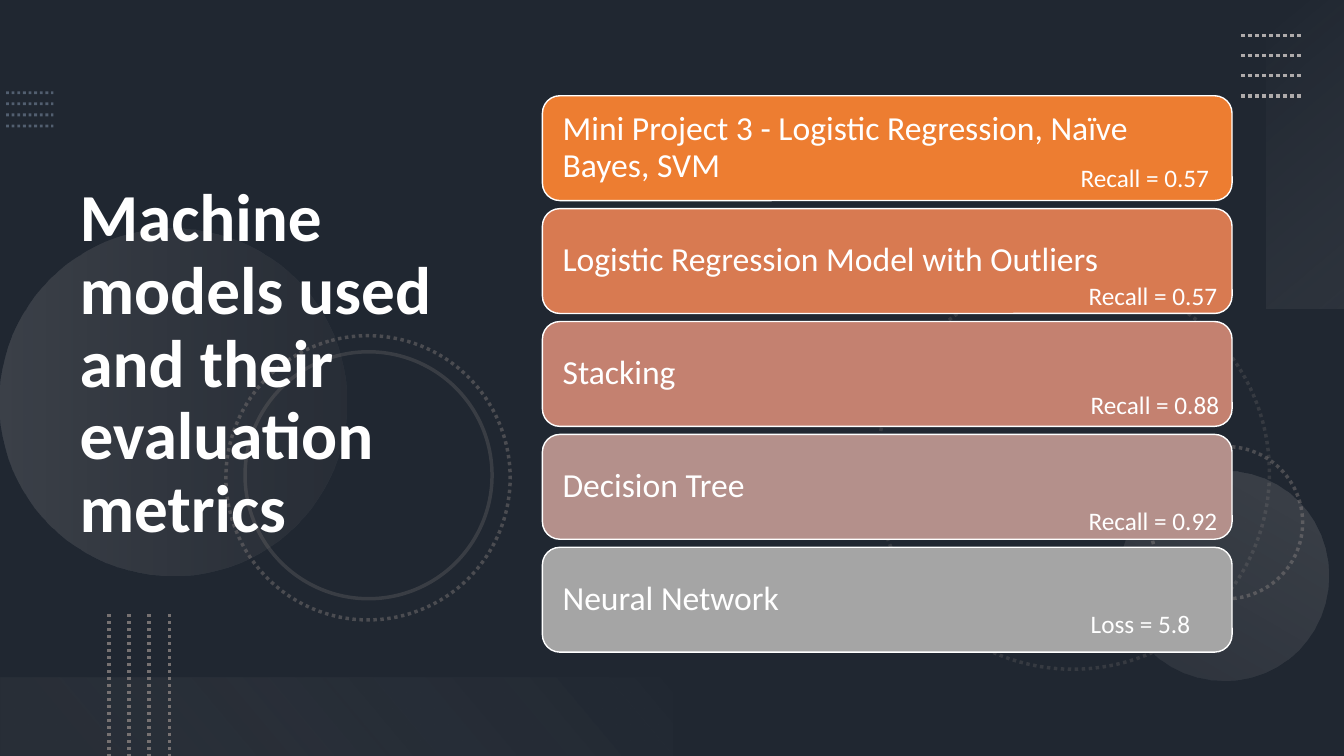
import pptx
import pptx.dml.color
import pptx.enum.dml
import pptx.enum.shapes
import pptx.enum.text
import pptx.oxml.ns
import pptx.util
from lxml import etree

RGBColor = pptx.dml.color.RGBColor
SHAPE = pptx.enum.shapes.MSO_SHAPE
ANCHOR = pptx.enum.text.MSO_ANCHOR
DOTTED = pptx.enum.dml.MSO_LINE.ROUND_DOT
qn = pptx.oxml.ns.qn

BLACK = RGBColor(0x00, 0x00, 0x00)
WHITE = RGBColor(0xFF, 0xFF, 0xFF)
SLATE = RGBColor(0x44, 0x54, 0x6A)
BLUE_GRAY = RGBColor(0x84, 0x97, 0xB0)
DARK_GRAY = RGBColor(0x76, 0x71, 0x71)
LIGHT_GRAY = RGBColor(0xAF, 0xAB, 0xAB)
PALE_GRAY = RGBColor(0xF5, 0xF5, 0xF5)
MIST = RGBColor(0xF1, 0xF0, 0xF0)
ORANGE = RGBColor(0xED, 0x7D, 0x31)
COPPER = RGBColor(0xD8, 0x7A, 0x51)
ROSE = RGBColor(0xC4, 0x81, 0x70)
MAUVE = RGBColor(0xB4, 0x90, 0x8B)
GRAY = RGBColor(0xA5, 0xA5, 0xA5)

WIDTH, HEIGHT = 1333, 750
PX = 9144


def px(*lengths):
    return [pptx.util.Emu(length * PX) for length in lengths]


def set_opacity(element, *percents):
    """Give each RGB colour below the element its opacity, in document order."""
    for color, percent in zip(list(element.iter(qn("a:srgbClr"))), percents):
        etree.SubElement(color, qn("a:alpha")).set("val", str(percent * 1000))


class SlideBuilder:
    """Holds the text style and the slide being built."""

    font = {"name": "Calibri", "bold": False}

    def __init__(self, slide):
        self.slide = slide

    def stroke(self, shape, color, width, dash=None, opacity=100):
        shape.line.color.rgb = color
        for name, value in {"width": pptx.util.Pt(width), "dash_style": dash}.items():
            setattr(shape.line, name, value)
        if opacity < 100:
            set_opacity(shape.element.spPr.find(qn("a:ln")), opacity)

    def shape(self, kind, box, rotation=0, fill=None, opacity=100):
        shape = self.slide.shapes.add_shape(kind, *px(*box))
        shape.shadow.inherit = False
        shape.rotation = rotation
        shape.line.fill.background()
        if fill is None:
            shape.fill.background()
        else:
            shape.fill.solid()
            shape.fill.fore_color.rgb = fill
            if opacity < 100:
                set_opacity(shape.element.spPr, opacity)
        return shape

    def gradient(self, kind, box, rotation, angle, stops):
        """Draw a faded shape; stops are (position, colour, opacity), angle runs clockwise."""
        shape = self.shape(kind, box, rotation)
        shape.fill.gradient()
        shape.fill.gradient_angle = 360 - angle
        for stop, (position, color, _) in zip(shape.fill.gradient_stops, stops):
            stop.position = position
            stop.color.rgb = color
        set_opacity(shape.element.spPr, *[opacity for _, _, opacity in stops])

    def ring(self, box, rotation, dash, opacity):
        ring = self.shape(SHAPE.OVAL, box, rotation)
        self.stroke(ring, DARK_GRAY, 2.5, dash, opacity)

    def dotted_lines(self, first, step, count, color, width, opacity=100):
        """Repeat the line first = (x1, y1, x2, y2), moving it by step = (dx, dy)."""
        x1, y1, x2, y2 = first
        for index in range(count):
            dx, dy = index * step[0], index * step[1]
            line = self.slide.shapes.add_connector(
                pptx.enum.shapes.MSO_CONNECTOR.STRAIGHT,
                *px(x1 + dx, y1 + dy, x2 + dx, y2 + dy))
            self.stroke(line, color, width, DOTTED, opacity)
            etree.SubElement(line.element.spPr, qn("a:effectLst"))

    def fill_text(self, shape, text, size, frame=None, paragraph_format=None, **font):
        text_frame = shape.text_frame
        paragraph = text_frame.paragraphs[0]
        run = paragraph.add_run()
        run.text = text
        run.font.color.rgb = WHITE
        formats = (
            (text_frame, {"word_wrap": True, **(frame or {})}),
            (paragraph, {"alignment": pptx.enum.text.PP_ALIGN.LEFT,
                         **(paragraph_format or {})}),
            (run.font, {**self.font, "size": pptx.util.Pt(size), **font}),
        )
        for target, values in formats:
            for name, value in values.items():
                setattr(target, name, value)

    def text(self, box, text, size, **style):
        self.fill_text(self.slide.shapes.add_textbox(*px(*box)), text, size, **style)

    def bar(self, box, text, fill):
        bar = self.shape(SHAPE.ROUNDED_RECTANGLE, box, fill=fill)
        self.stroke(bar, WHITE, 1)
        margin = px(15)[0]
        self.fill_text(bar, text, 24,
                       frame={"vertical_anchor": ANCHOR.MIDDLE,
                              "margin_left": margin, "margin_right": margin},
                       paragraph_format={"line_spacing": 0.9})


def draw_decoration(builder):
    builder.shape(SHAPE.RECTANGLE, (0, 0, WIDTH, HEIGHT), fill=BLACK, opacity=53)
    builder.dotted_lines((6, 92, 53, 92), (0, 11), 4, BLUE_GRAY, 2, 50)
    builder.ring((869, 274, 390, 390), 75, DOTTED, 25)
    builder.ring((1141, 443, 151, 151), 270, DOTTED, 50)
    builder.gradient(SHAPE.OVAL, (0, 227, 344, 344), 270, 90,
                     [(0, LIGHT_GRAY, 20), (1, DARK_GRAY, 10)])
    builder.gradient(SHAPE.OVAL, (1110, 467, 208, 208), 210, 90,
                     [(0, LIGHT_GRAY, 10), (1, LIGHT_GRAY, 20)])
    builder.ring((224, 333, 282, 282), 75, DOTTED, 50)
    builder.ring((243, 349, 245, 245), 75, None, 30)
    builder.gradient(SHAPE.RECTANGLE, (1142, 114, 306, 78), 270, 140,
                     [(0, PALE_GRAY, 0), (1, LIGHT_GRAY, 10)])
    builder.dotted_lines((1231, 35, 1291, 35), (0, 20), 4, LIGHT_GRAY, 2.5)
    builder.gradient(SHAPE.RECTANGLE, (0, 672, 667, 78), 180, 140,
                     [(0.1, DARK_GRAY, 10), (1, MIST, 0)])
    builder.dotted_lines((108, 609, 108, 750), (20, 0), 4, DARK_GRAY, 2.5)


def draw_models(builder):
    models = [
        ("Mini Project 3 - Logistic Regression, Naïve Bayes, SVM", ORANGE,
         "Recall = 0.57", (1062, 156)),
        ("Logistic Regression Model with Outliers", COPPER, "Recall = 0.57", (1070, 273)),
        ("Stacking", ROSE, "Recall = 0.88", (1072, 381)),
        ("Decision Tree", MAUVE, "Recall = 0.92", (1070, 496)),
        ("Neural Network", GRAY, "Loss = 5.8", (1072, 599)),
    ]
    for index, (name, color, _, _) in enumerate(models):
        builder.bar((538, 95 + 112 * index, 684, 104), name, color)
    for _, _, metric, corner in models:
        builder.text((*corner, 230, 40), metric, 18)


def main():
    presentation = pptx.Presentation()
    presentation.slide_width, presentation.slide_height = px(WIDTH, HEIGHT)
    slide = presentation.slides.add_slide(presentation.slide_layouts[6])
    slide.background.fill.solid()
    slide.background.fill.fore_color.rgb = SLATE
    builder = SlideBuilder(slide)
    draw_decoration(builder)
    builder.text((69, 54, 459, 617), "Machine models used and their evaluation metrics", 48,
                 frame={"vertical_anchor": ANCHOR.MIDDLE},
                 paragraph_format={"line_spacing": 0.9}, bold=True)
    draw_models(builder)
    presentation.save("out.pptx")


if __name__ == "__main__":
    main()
